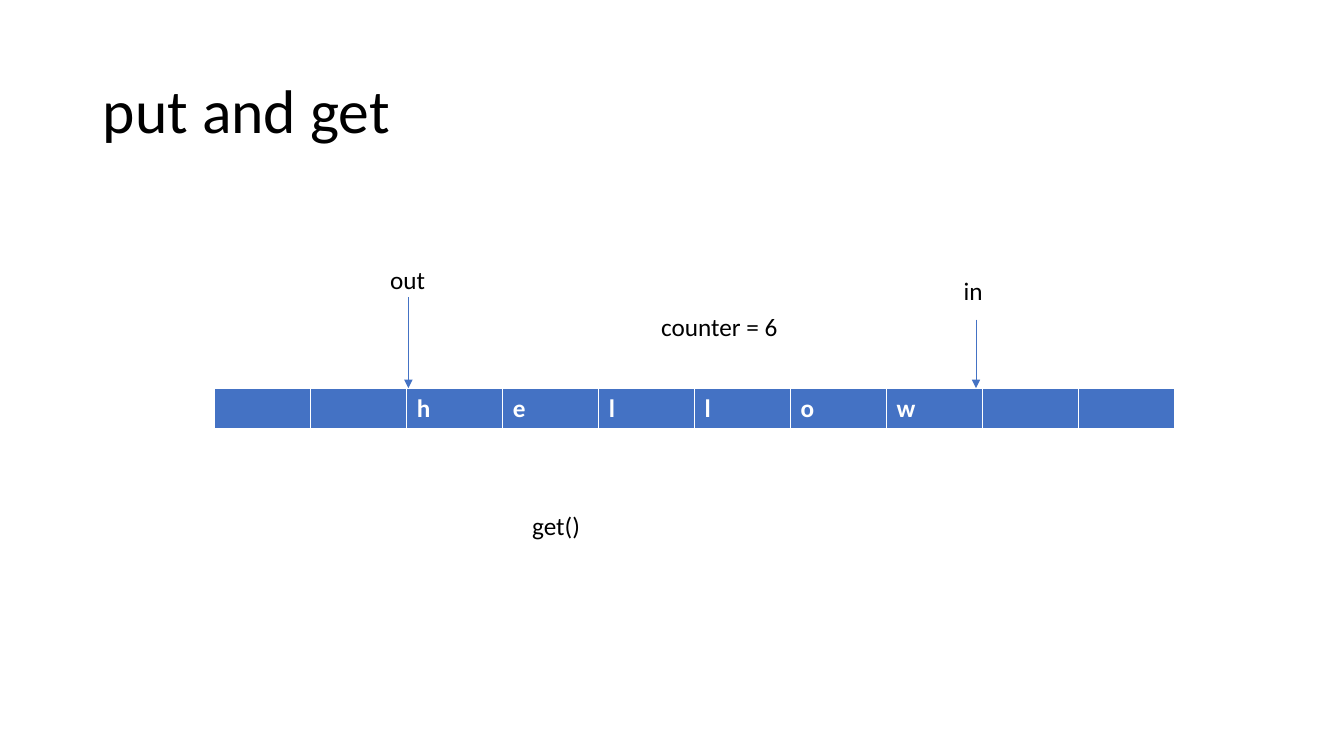
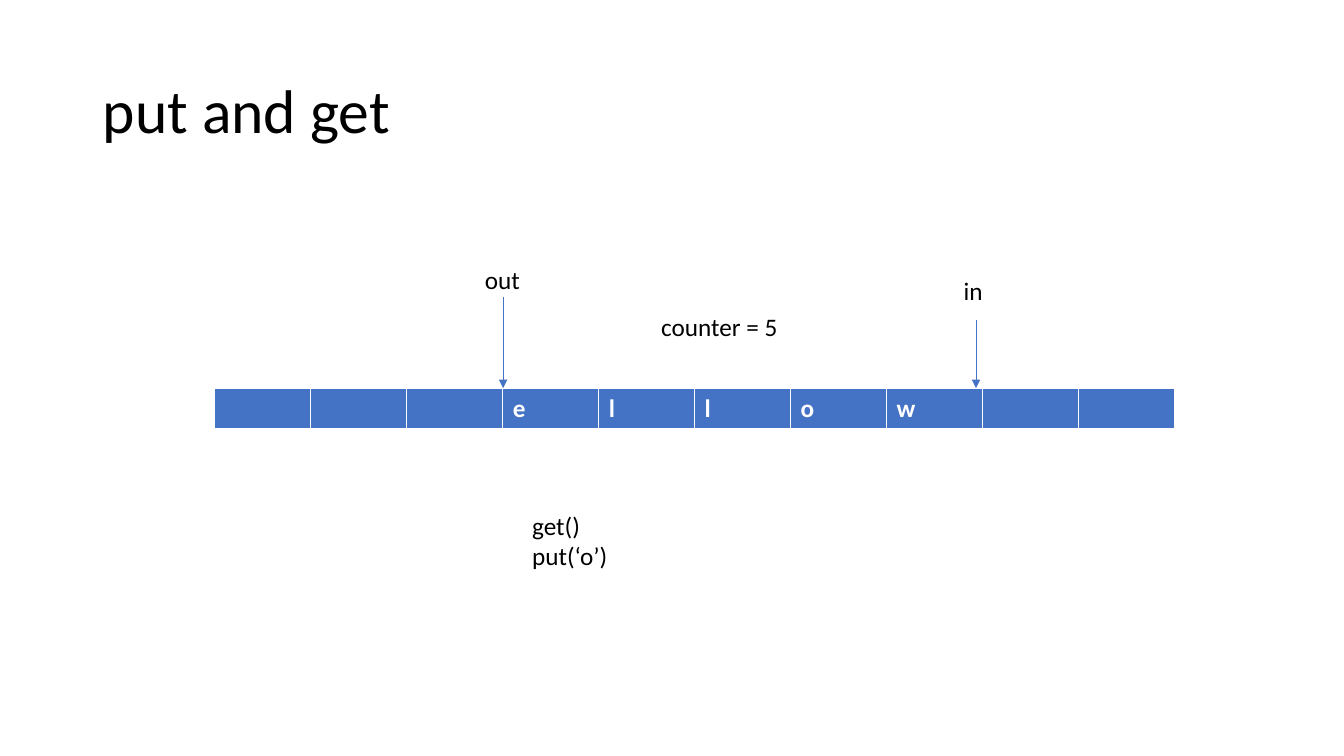
import pptx
import pptx.dml.color
import pptx.enum.shapes
import pptx.enum.text
import pptx.oxml
import pptx.oxml.ns
import pptx.util
from dataclasses import dataclass

Inches = pptx.util.Inches
Pt = pptx.util.Pt

# Content: the buffer state on each slide
TITLE = "put and get"
SLOTS = 10
STATES = [
    {"out": 2, "letters": "hellow", "calls": ["get()"]},
    {"out": 3, "letters": "ellow", "calls": ["get()", "put(‘o’)"]},
]


@dataclass(frozen=True)
class Theme:
    font: str = "Calibri"
    ink: str = "000000"
    paper: str = "FFFFFF"
    accent: str = "4472C4"
    title_size: int = 44
    body_size: int = 18
    line_width: float = 0.5


THEME = Theme()
BUFFER = (2.13, 3.85, 9.52, 0.41)
IN_X = 9.68
OUT_X, OUT_STEP, OUT_FIRST = 4.05, 0.94, 2
CELL_BORDERS = {"lnL": 1, "lnR": 1, "lnT": 1, "lnB": 3}


def rgb(value):
    return pptx.dml.color.RGBColor.from_string(value)


def style_font(font, size, color, bold=False):
    formats = {"name": THEME.font, "size": Pt(size), "bold": bold}
    for attribute, value in formats.items():
        setattr(font, attribute, value)
    font.color.rgb = rgb(color)


def add_label(slide, left, top, width, lines):
    label = slide.shapes.add_textbox(
        Inches(left), Inches(top), Inches(width), Inches(0.1 + 0.3 * len(lines)))
    frame = label.text_frame
    frame.word_wrap = True
    frame.text = "\n".join(lines)
    for paragraph in frame.paragraphs:
        style_font(paragraph.font, THEME.body_size, THEME.ink)


def add_pointer(slide, name, x, top, label_left, label_top):
    """Draw a labelled arrow down to the buffer."""
    arrow = slide.shapes.add_connector(
        pptx.enum.shapes.MSO_CONNECTOR.STRAIGHT,
        Inches(x), Inches(top), Inches(x), Inches(BUFFER[1]))
    arrow.line.color.rgb = rgb(THEME.accent)
    arrow.line.width = Pt(THEME.line_width)
    head = pptx.oxml.parse_xml(
        f'<a:tailEnd {pptx.oxml.ns.nsdecls("a")} type="triangle"/>')
    arrow.line._get_or_add_ln().append(head)
    properties = arrow._element.spPr
    properties.append(pptx.oxml.parse_xml(
        f'<a:effectLst {pptx.oxml.ns.nsdecls("a")}/>'))
    add_label(slide, label_left, label_top, 1.08, [name])


def add_buffer(slide, state):
    table = slide.shapes.add_table(1, SLOTS, *map(Inches, BUFFER)).table
    after = SLOTS - state["out"] - len(state["letters"])
    slots = [""] * state["out"] + list(state["letters"]) + [""] * after
    for cell, letter in zip(table.rows[0].cells, slots):
        properties = cell._tc.get_or_add_tcPr()
        for side, width in CELL_BORDERS.items():
            properties.append(pptx.oxml.parse_xml(
                f'<a:{side} {pptx.oxml.ns.nsdecls("a")} w="{Pt(width)}">'
                f'<a:solidFill><a:srgbClr val="{THEME.paper}"/></a:solidFill>'
                f'</a:{side}>'))
        cell.fill.solid()
        cell.fill.fore_color.rgb = rgb(THEME.accent)
        cell.text = letter
        style_font(cell.text_frame.paragraphs[0].font,
                   THEME.body_size, THEME.paper, bold=True)


def add_title(slide):
    frame = slide.shapes.title.text_frame
    frame.text = TITLE
    frame.vertical_anchor = pptx.enum.text.MSO_ANCHOR.MIDDLE
    heading = frame.paragraphs[0]
    heading.alignment = pptx.enum.text.PP_ALIGN.LEFT
    heading.line_spacing = 0.9
    style_font(heading.font, THEME.title_size, THEME.ink)


def build_slide(deck, layout, state):
    slide = deck.slides.add_slide(layout)
    add_title(slide)
    add_buffer(slide, state)
    # Pointers to the next free slot and the oldest letter
    add_pointer(slide, "in", IN_X, 3.17, IN_X - 0.22, 2.68)
    out_x = OUT_X + OUT_STEP * (state["out"] - OUT_FIRST)
    add_pointer(slide, "out", out_x, 2.95, out_x - 0.28, 2.57)
    # Counter and calls
    add_label(slide, 6.46, 3.04, 1.74, [f"counter = {len(state['letters'])}"])
    add_label(slide, 5.18, 5.01, 2.37, state["calls"])


def main():
    deck = pptx.Presentation()
    deck.slide_width, deck.slide_height = Inches(13.33), Inches(7.5)
    # Shared title position
    layout = deck.slide_layouts.get_by_name("Title Only")
    place = {"left": 0.92, "top": 0.4, "width": 11.5, "height": 1.45}
    for attribute, value in place.items():
        setattr(layout.placeholders[0], attribute, Inches(value))
    for state in STATES:
        build_slide(deck, layout, state)
    deck.save("out.pptx")


if __name__ == "__main__":
    main()
